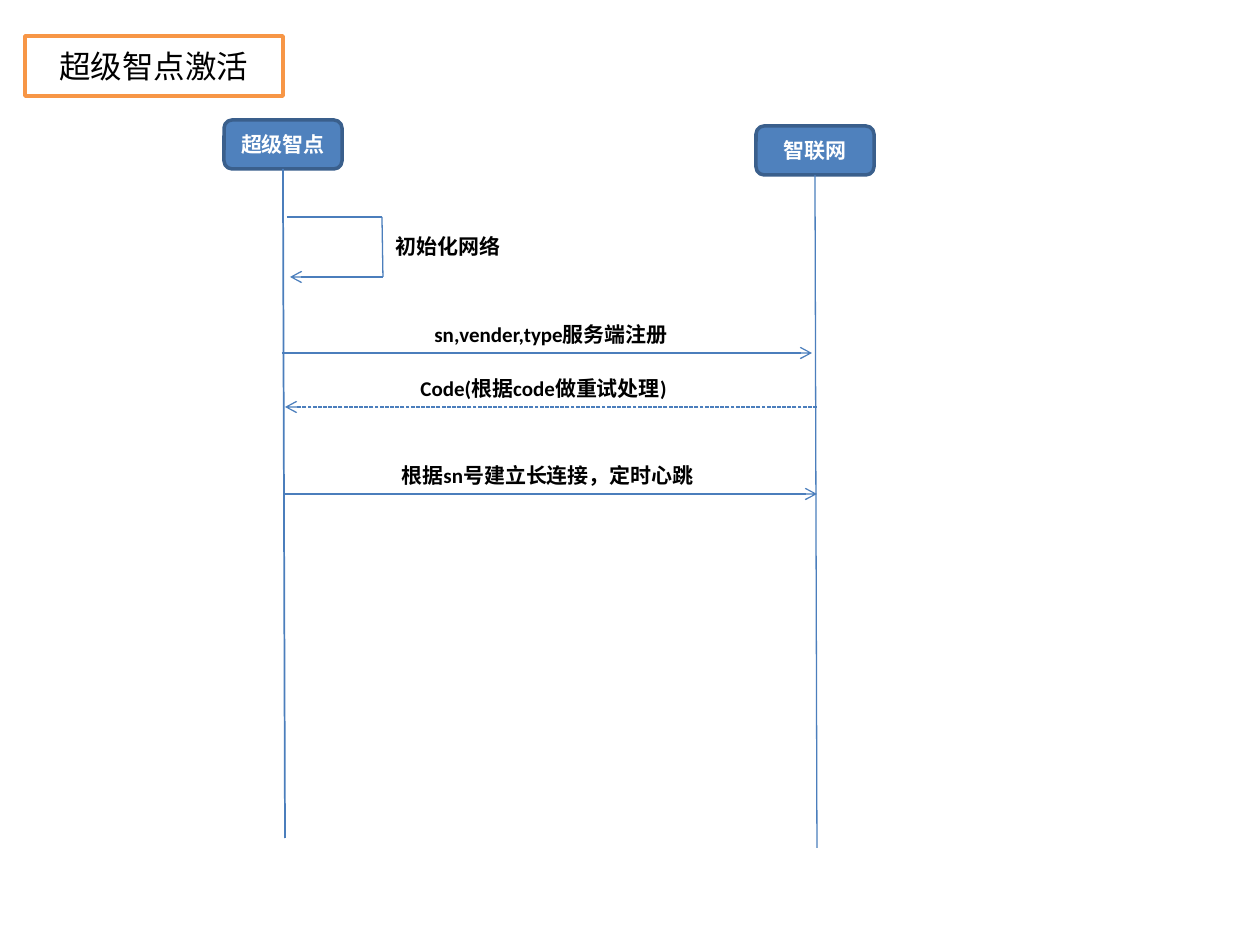
"""Builds the sequence diagram of the node activation flow."""
from dataclasses import dataclass

from pptx import Presentation, util as u
from pptx.dml.color import RGBColor
from pptx.enum import dml, shapes, text
from pptx.oxml import ns, xmlchemy

SCALE = 914400 / 126


def px(length):
    return u.Emu(round(length * SCALE))


@dataclass(frozen=True)
class Theme:
    font: str = "Calibri"
    title_size: int = 18
    label_size: int = 12
    ink: str = "000000"
    paper: str = "FFFFFF"
    frame: str = "F79646"
    actor: str = "4F81BD"
    actor_edge: str = "3A5F8C"
    line: str = "4B7EBC"
    edge_width: float = 2
    line_width: float = 0.75


class Diagram:
    def __init__(self, slide, theme):
        self.slide = slide
        self.theme = theme

    def set_text(self, shape, wording, size, color, bold, align):
        shape.text_frame.text = wording
        paragraph = shape.text_frame.paragraphs[0]
        paragraph.alignment = align
        font = paragraph.font
        font.name, font.size, font.bold = self.theme.font, u.Pt(size), bold
        font.color.rgb = RGBColor.from_string(color)

    def paint(self, shape, fill, edge):
        shape.fill.solid()
        shape.fill.fore_color.rgb = RGBColor.from_string(fill)
        shape.line.color.rgb = RGBColor.from_string(edge)
        shape.line.width = u.Pt(self.theme.edge_width)
        shape.text_frame.vertical_anchor = text.MSO_ANCHOR.MIDDLE

    def title(self, wording, left, top, width, height):
        title = self.slide.shapes.title
        title.left, title.top, title.width, title.height = map(px, (left, top, width, height))
        self.paint(title, self.theme.paper, self.theme.frame)
        self.set_text(title, wording, self.theme.title_size, self.theme.ink, False, text.PP_ALIGN.CENTER)

    def actor(self, wording, left, top, width=118, height=49):
        actor = self.slide.shapes.add_shape(
            shapes.MSO_SHAPE.ROUNDED_RECTANGLE, *map(px, (left, top, width, height)))
        actor.shadow.inherit = False
        self.paint(actor, self.theme.actor, self.theme.actor_edge)
        self.set_text(actor, wording, self.theme.label_size, self.theme.paper, True, text.PP_ALIGN.CENTER)
        return actor

    def label(self, wording, left, top, width, height=38):
        label = self.slide.shapes.add_textbox(*map(px, (left, top, width, height)))
        label.text_frame.word_wrap = True
        label.text_frame.auto_size = text.MSO_AUTO_SIZE.SHAPE_TO_FIT_TEXT
        self.set_text(label, wording, self.theme.label_size, self.theme.ink, True, text.PP_ALIGN.LEFT)

    def line(self, start, end, arrow=False, dashed=False, width=None):
        line = self.slide.shapes.add_connector(
            shapes.MSO_CONNECTOR.STRAIGHT, *map(px, (*start, *end)))
        line.line.color.rgb = RGBColor.from_string(self.theme.line)
        line.line.width = u.Pt(width or self.theme.line_width)
        if dashed:
            line.line.dash_style = dml.MSO_LINE.SQUARE_DOT
        properties = line._element.spPr
        if arrow:
            tail = xmlchemy.OxmlElement("a:tailEnd")
            tail.set("type", "arrow")
            properties.find(ns.qn("a:ln")).append(tail)
        properties.append(xmlchemy.OxmlElement("a:effectLst"))
        return line

    def lifeline(self, actor, start, end, width=None):
        self.line(start, end, width=width).begin_connect(actor, 2)


def main():
    deck = Presentation()
    deck.slide_width, deck.slide_height = u.Inches(10), u.Inches(7.5)
    diagram = Diagram(deck.slides.add_slide(deck.slide_layouts[5]), Theme())

    diagram.title("超级智点激活", 25, 36, 258, 60)
    node = diagram.actor("超级智点", 224, 120)
    network = diagram.actor("智联网", 756, 126)
    diagram.lifeline(node, (283, 169), (285, 838), width=1)
    diagram.lifeline(network, (815, 175), (817, 848))

    diagram.line((287, 217), (382, 217))
    diagram.line((382, 217), (383, 277))
    diagram.line((383, 277), (290, 277), arrow=True)
    diagram.label("初始化网络", 383, 227, 258)

    messages = [
        ("sn,vender,type服务端注册", 422, 299, 282, 353, 812, False),
        ("Code(根据code做重试处理)", 408, 357, 817, 407, 285, True),
        ("根据sn号建立长连接，定时心跳", 389, 357, 284, 494, 817, False),
    ]
    for wording, left, width, start, y, end, dashed in messages:
        diagram.line((start, y), (end, y), arrow=True, dashed=dashed)
        diagram.label(wording, left, y - 38, width)

    deck.save("out.pptx")


if __name__ == "__main__":
    main()
